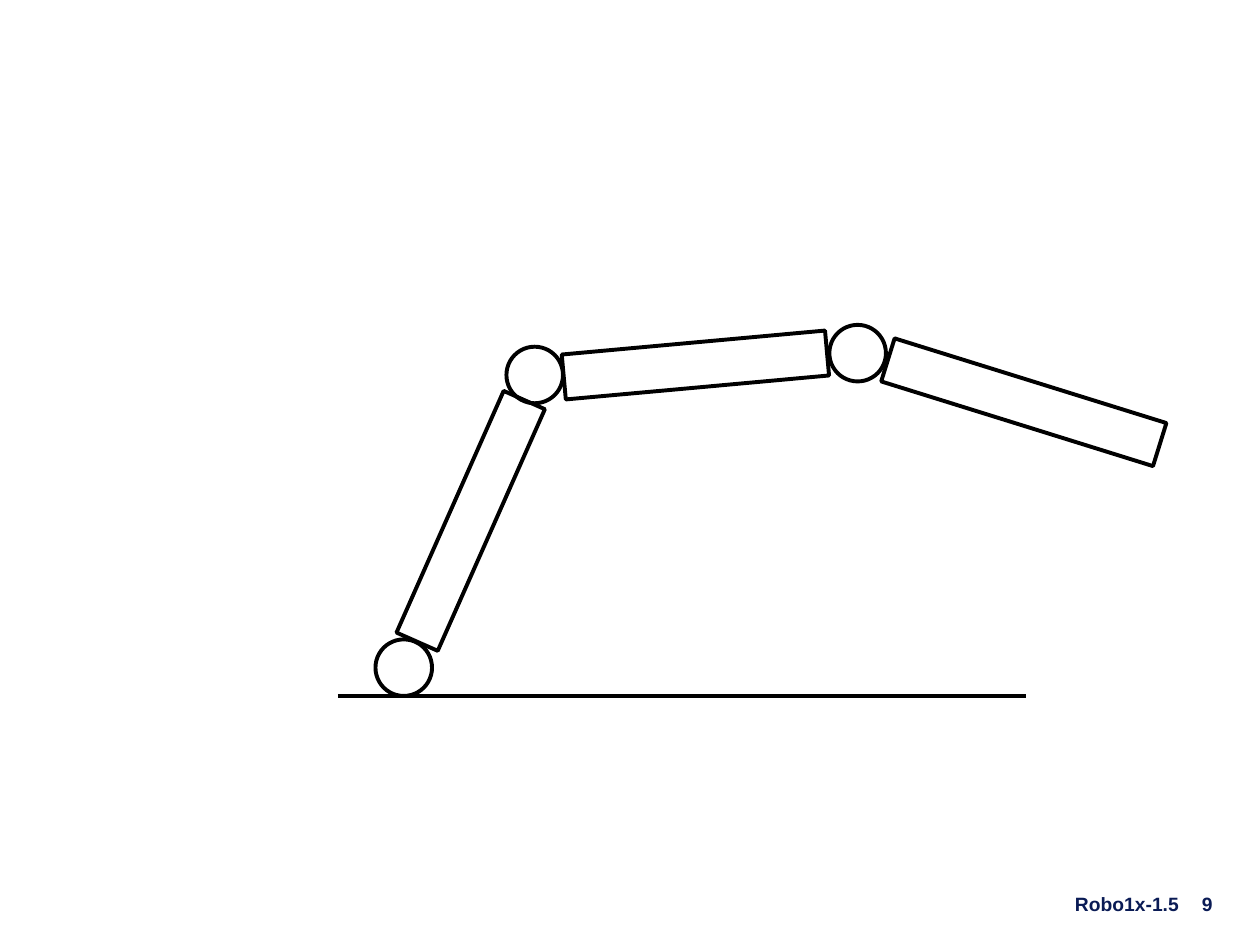
from pptx import Presentation
from pptx.dml.color import RGBColor
from pptx.enum.shapes import MSO_CONNECTOR, MSO_SHAPE
from pptx.enum.text import MSO_AUTO_SIZE
from pptx.oxml.ns import qn
from pptx.util import Cm, Pt
from lxml import etree

STRAIGHT = MSO_CONNECTOR.STRAIGHT
OVAL = MSO_SHAPE.OVAL
RECTANGLE = MSO_SHAPE.RECTANGLE
NO_AUTOSIZE = MSO_AUTO_SIZE.NONE

INK = "000000"
NAVY = "0A1B55"
JOINT_SIZE = 1.14
LINK_WIDTH = 0.91


def color(hex_string):
    return RGBColor.from_string(hex_string)


def add_part(slide, preset, center_x, center_y, width, height, angle=0):
    part = slide.shapes.add_shape(
        preset, Cm(center_x - width / 2), Cm(center_y - height / 2), Cm(width), Cm(height)
    )
    part.rotation = angle
    part.shadow.inherit = False
    part.fill.background()
    part.line.color.rgb = color(INK)
    part.line.width = Pt(2.25)


def add_ground(slide, left, top, width):
    ground = slide.shapes.add_connector(
        STRAIGHT, Cm(left), Cm(top), Cm(left + width), Cm(top)
    )
    ground.line.color.rgb = color(INK)
    ground.line.width = Pt(2)
    etree.SubElement(ground._element.spPr, qn("a:effectLst"))


def add_robot_arm(slide, left, top):
    joints = [(1.33, 6.91), (3.97, 1.01), (10.48, 0.57)]
    links = [(2.68, 3.95, 5.33, -66.1), (7.21, 0.81, 5.33, -5.2), (13.83, 1.56, 5.74, 17.3)]
    add_ground(slide, left, top + 7.48, 13.87)
    for x, y in joints:
        add_part(slide, OVAL, left + x, top + y, JOINT_SIZE, JOINT_SIZE)
    for x, y, length, angle in links:
        add_part(slide, RECTANGLE, left + x, top + y, length, LINK_WIDTH, angle)


def add_footer(slide, left, top):
    entries = [("Robo1x-1.5", 0, 2.25, 0.03), ("9", 2.31, 0.56, 0.28)]
    for text, x, width, inset in entries:
        entry = slide.shapes.add_textbox(Cm(left + x), Cm(top), Cm(width), Cm(0.61))
        frame = entry.text_frame
        frame.word_wrap = True
        frame.auto_size = NO_AUTOSIZE
        frame.margin_left = Cm(inset)
        frame.margin_top = Cm(0.05)
        frame.margin_right = frame.margin_bottom = 0
        paragraph = frame.paragraphs[0]
        paragraph.text = text
        paragraph.font.name = "Arial"
        paragraph.font.size = Pt(11)
        paragraph.font.bold = True
        paragraph.font.color.rgb = color(NAVY)


def main():
    deck = Presentation()
    deck.slide_width = Cm(25.4)
    deck.slide_height = Cm(19.05)
    slide = deck.slides.add_slide(deck.slide_layouts[6])
    add_robot_arm(slide, 6.81, 6.55)
    add_footer(slide, 21.64, 17.93)
    deck.save("out.pptx")


if __name__ == "__main__":
    main()
